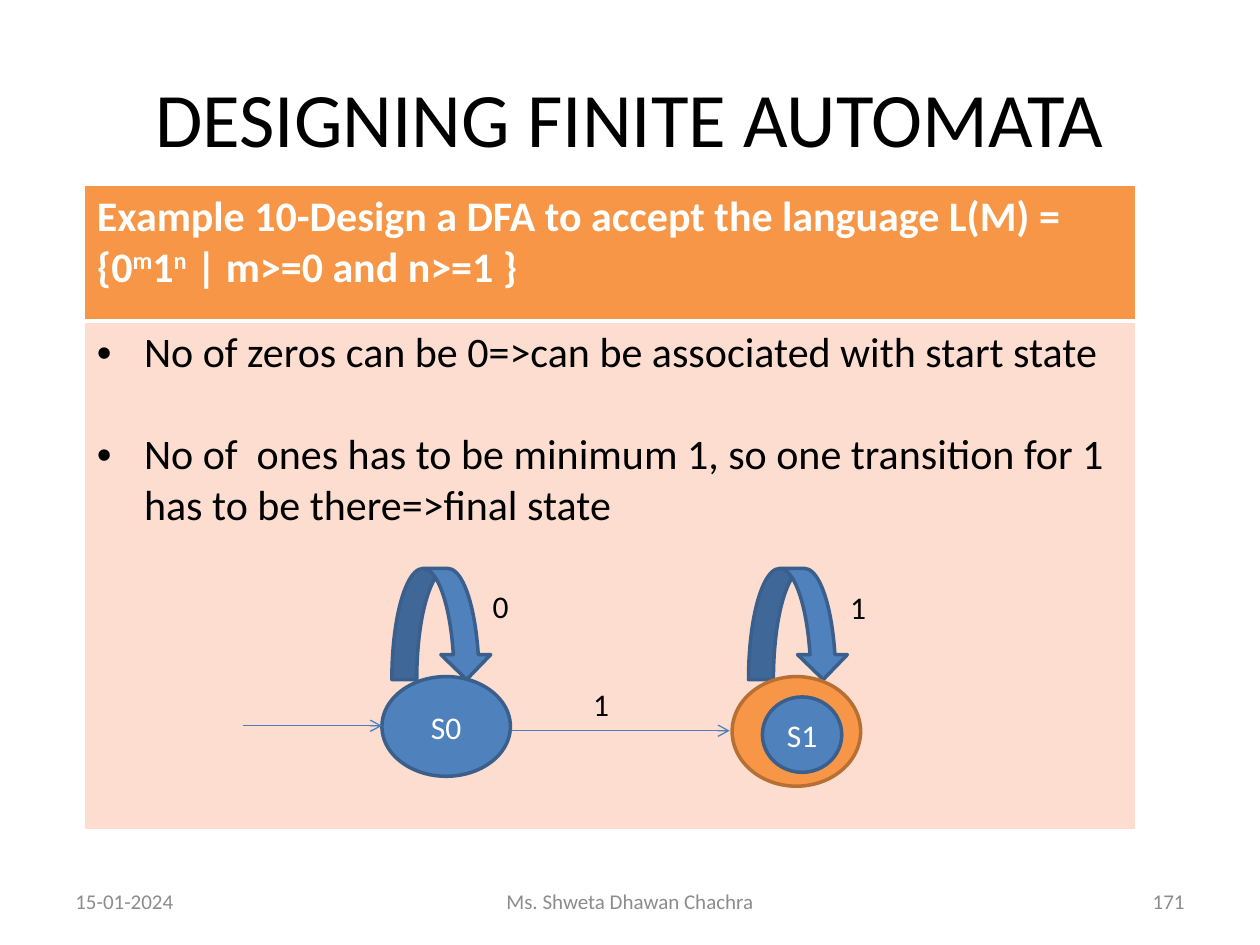
from dataclasses import dataclass
from typing import Any

from lxml import etree
from pptx import Presentation
from pptx import util as u
from pptx.dml import color
from pptx.enum import shapes, text
from pptx.oxml import ns

BLUE, BLUE_EDGE, LINK = "4F81BD", "3A5F8C", "4B7EBC"
ORANGE, ORANGE_EDGE, PEACH = "F79646", "B76F34", "FCDDCF"
WHITE, BLACK, GRAY = "FFFFFF", "000000", "8C8C8C"
LEFT, CENTER, RIGHT = text.PP_ALIGN.LEFT, text.PP_ALIGN.CENTER, text.PP_ALIGN.RIGHT
LOOP_TOP, LOOP_SIZE = 11.46, (2.01, 2.24)


def rgb(value):
    return color.RGBColor.from_string(value)


def cm(*values):
    return [u.Cm(value) for value in values]


def apply(target, values):
    for name, value in values.items():
        setattr(target, name, value)


def add_xml(parent, tag, **attributes):
    return etree.SubElement(parent, ns.qn(tag), attributes)


@dataclass
class Slide:
    page: Any
    font: str = "Calibri"

    def wording(self, para, content, size, hue, align=LEFT, bold=False):
        para.alignment = align
        for piece in content if isinstance(content, list) else [content]:
            raised = isinstance(piece, tuple)
            span = para.add_run()
            span.text = piece[0] if raised else piece
            apply(span.font, {"name": self.font, "size": u.Pt(size), "bold": bold})
            span.font.color.rgb = rgb(hue)
            if raised:
                span.font._element.set("baseline", "30000")

    def label(self, place, content, size=18, hue=BLACK, align=LEFT,
              anchor=text.MSO_ANCHOR.TOP, wrap=False):
        box = self.page.shapes.add_textbox(*cm(*place))
        apply(box.text_frame, {"word_wrap": wrap, "vertical_anchor": anchor})
        self.wording(box.text_frame.paragraphs[0], content, size, hue, align)

    def shape(self, kind, place, fill=BLUE, edge=BLUE_EDGE, content=None):
        shape = self.page.shapes.add_shape(kind, *cm(*place))
        shape.shadow.inherit = False
        shape.fill.solid()
        shape.fill.fore_color.rgb = rgb(fill)
        shape.line.color.rgb = rgb(edge)
        shape.line.width = u.Pt(2)
        if content:
            apply(shape.text_frame, {
                "margin_left": 0, "margin_right": 0,
                "vertical_anchor": text.MSO_ANCHOR.MIDDLE,
            })
            self.wording(shape.text_frame.paragraphs[0], content, 18, WHITE, CENTER)
        return shape

    def state(self, *place, **style):
        return self.shape(shapes.MSO_SHAPE.OVAL, place, **style)

    def arrow(self, start, end, level):
        link = self.page.shapes.add_connector(
            shapes.MSO_CONNECTOR.STRAIGHT, *cm(start, level, end, level))
        link.line.color.rgb = rgb(LINK)
        link.line.width = u.Pt(0.75)
        add_xml(link.line._get_or_add_ln(), "a:tailEnd", type="arrow")
        add_xml(link._element.spPr, "a:effectLst")

    def table(self, place, heights, fills):
        frame = self.page.shapes.add_table(len(heights), 1, *cm(*place, sum(heights)))
        cells = []
        for row, height, fill in zip(frame.table.rows, heights, fills):
            row.height = u.Cm(height)
            cell = row.cells[0]
            cell.fill.solid()
            cell.fill.fore_color.rgb = rgb(fill)
            cells.append(cell)
        return cells

    def borders(self, cell, **widths):
        properties = cell._tc.get_or_add_tcPr()
        for index, side in enumerate("LRTB"):
            line = etree.Element(ns.qn(f"a:ln{side}"), w=str(u.Pt(widths.get(side, 1))))
            add_xml(add_xml(line, "a:solidFill"), "a:srgbClr", val=WHITE)
            properties.insert(index, line)

    def bullets(self, cell, items, size, gap):
        frame = cell.text_frame
        indents = {"marL": u.Cm(0.95), "indent": u.Cm(-0.95)}
        for index, item in enumerate(items):
            para = frame.add_paragraph() if index else frame.paragraphs[0]
            properties = para._p.get_or_add_pPr()
            for name, value in indents.items():
                properties.set(name, str(int(value)))
            add_xml(properties, "a:buFont", typeface="Arial")
            add_xml(properties, "a:buChar", char="•")
            if index:
                para.space_before = u.Pt(gap)
            self.wording(para, item, size, BLACK)


def main():
    deck = Presentation()
    deck.slide_width, deck.slide_height = cm(25.4, 19.05)
    slide = Slide(deck.slides.add_slide(deck.slide_layouts[6]))
    middle = {"anchor": text.MSO_ANCHOR.MIDDLE, "wrap": True}

    slide.label((1.27, 0.76, 22.86, 3.18), "DESIGNING FINITE AUTOMATA",
                size=44, align=CENTER, **middle)
    for left, width, content, align in (
        (1.27, 5.92, "15-01-2024", LEFT),
        (8.68, 8.04, "Ms. Shweta Dhawan Chachra", CENTER),
        (18.21, 5.92, "171", RIGHT),
    ):
        slide.label((left, 17.65, width, 1.02), content, 12, GRAY, align, **middle)

    heading, body = slide.table((1.7, 3.73, 21.2), (2.74, 10.26), (ORANGE, PEACH))
    slide.borders(heading, B=3)
    slide.borders(body, T=3)
    slide.wording(heading.text_frame.paragraphs[0], [
        "Example 10-Design a DFA to accept the language L(M) = {0",
        ("m",), "1", ("n",), " | m>=0 and n>=1 }",
    ], 24, WHITE, bold=True)
    slide.bullets(body, (
        "No of zeros can be 0=>can be associated with start state",
        "No of  ones has to be minimum 1, so one transition for 1 "
        "has to be there=>final state",
    ), size=24, gap=29.3)

    slide.state(7.7, 13.64, 2.59, 2.01, content="S0")
    slide.arrow(10.31, 14.71, 14.73)
    slide.arrow(4.9, 7.7, 14.63)
    for left in (15.09, 7.9):
        slide.shape(shapes.MSO_SHAPE.CURVED_DOWN_ARROW, (left, LOOP_TOP, *LOOP_SIZE))
    slide.page.shapes.add_group_shape([
        slide.state(14.76, 13.64, 2.59, 2.21, fill=ORANGE, edge=ORANGE_EDGE),
        slide.state(15.37, 14.05, 1.6, 1.52, content="S1"),
    ])
    for left, top, symbol in ((11.71, 13.69, "1"), (9.68, 11.7, "0"), (16.89, 11.73, "1")):
        slide.label((left, top, 0.84, 1.02), symbol)

    deck.save("out.pptx")


if __name__ == "__main__":
    main()
